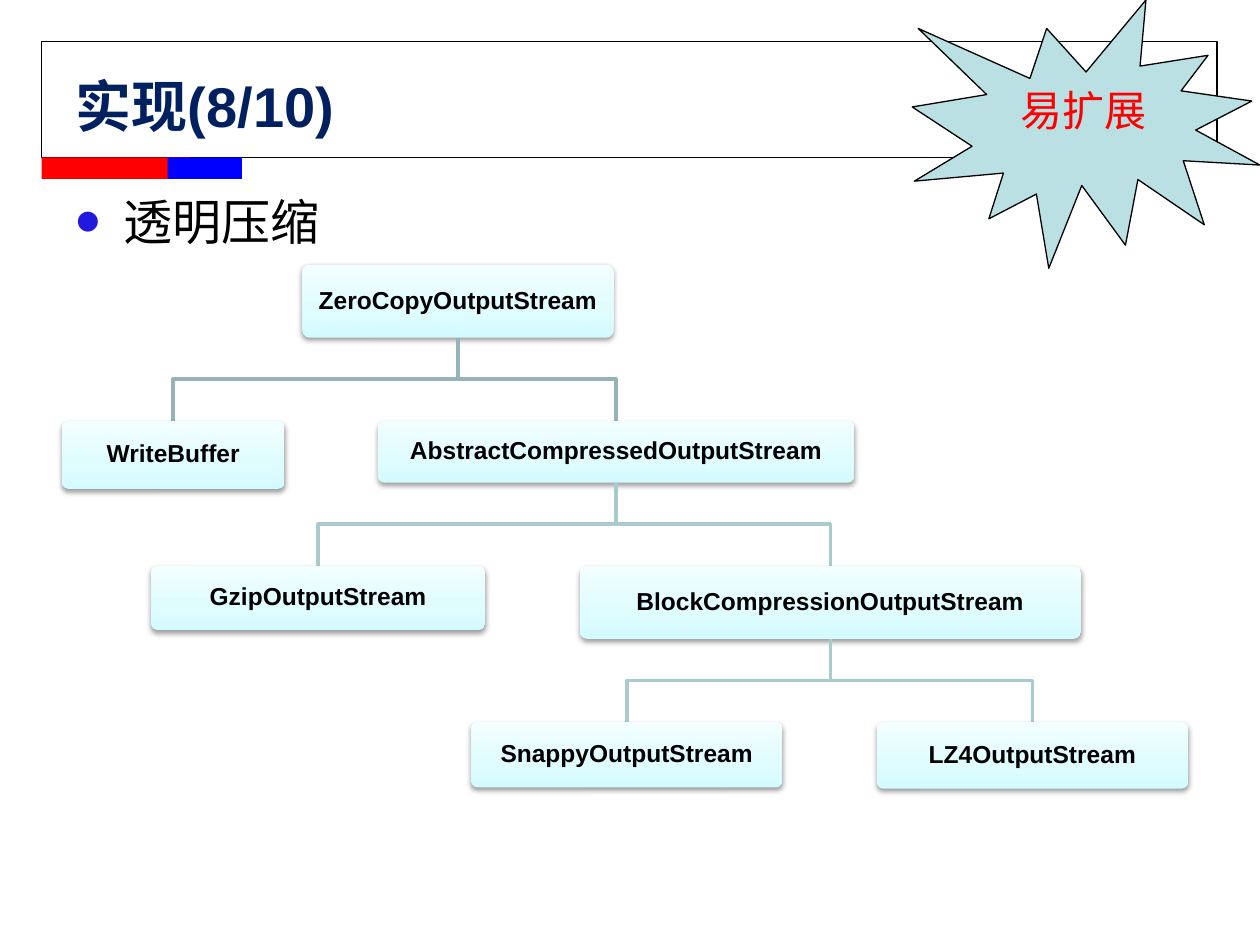
from lxml.etree import SubElement
from pptx import Presentation
from pptx.dml.color import RGBColor
from pptx.enum.shapes import MSO_SHAPE
from pptx.enum.text import MSO_ANCHOR, PP_ALIGN
from pptx.oxml import parse_xml
from pptx.oxml.ns import nsdecls, qn
from pptx.util import Inches, Pt

deck = Presentation()
deck.slide_width, deck.slide_height = Inches(10), Inches(7.5)
page = deck.slides.add_slide(deck.slide_layouts[1])
shapes = page.shapes

# Grid of 100 columns by 75 rows
column = deck.slide_width / 100
row = deck.slide_height / 75


def paint(fill, colour):
    """Fill a shape, a line or a font with a hex colour, or clear it."""
    if colour is None:
        fill.background()
    else:
        fill.solid()
        fill.fore_color.rgb = RGBColor.from_string(colour)


def write(box, text, size, colour="000000", bold=False, align=PP_ALIGN.LEFT,
          anchor=MSO_ANCHOR.TOP, inset=None):
    """Put one formatted paragraph into a shape and return it."""
    frame = box.text_frame
    frame.word_wrap = True
    frame.vertical_anchor = anchor
    if inset is not None:
        frame.margin_left = frame.margin_right = inset
        frame.margin_top = frame.margin_bottom = inset
    para = frame.paragraphs[0]
    para.alignment = align
    span = para.add_run()
    span.text = text
    span.font.name, span.font.size, span.font.bold = "Arial", Pt(size), bold
    paint(span.font.fill, colour)
    return para


# Title frame and the two-colour bar below it
for left, top, width, height, fill, line in (
    (3.3, 3.3, 93.3, 9.2, None, "000000"),
    (3.3, 12.5, 11.8, 1.7, "FF0000", None),
    (13.3, 12.5, 5.9, 1.7, "0000FF", None),
):
    band = shapes.add_shape(MSO_SHAPE.RECTANGLE, int(left * column), int(top * row),
                            int(width * column), int(height * row))
    band.shadow.inherit = False
    paint(band.fill, fill)
    band.line.width = Pt(0.75)
    paint(band.line.fill, line)

# Title and bullet
title, body = shapes.title, page.placeholders[1]
for holder, top, height in ((title, 5.2, 6.3), (body, 14.7, 49.5)):
    holder.left, holder.top = int(5 * column), int(top * row)
    holder.width, holder.height = int(90 * column), int(height * row)
write(title, "实现(8/10)", size=32, colour="002060", bold=True, anchor=MSO_ANCHOR.MIDDLE)
bullet = write(body, "透明压缩", size=28)
properties = bullet._p.get_or_add_pPr()
properties.set("marL", str(Inches(0.38)))
properties.set("indent", str(-Inches(0.38)))
space = SubElement(properties, qn("a:spcBef"))
SubElement(space, qn("a:spcPct"), val="20000")
bullet_colour = SubElement(properties, qn("a:buClr"))
SubElement(bullet_colour, qn("a:srgbClr"), val="2318DE")
SubElement(properties, qn("a:buSzPct"), val="150000")
SubElement(properties, qn("a:buFont"), typeface="Arial")
SubElement(properties, qn("a:buChar"), char="•")

# Class tree: name, parent, left, width, height
classes = (
    ("ZeroCopyOutputStream", None, 24, 24.7, 5.8),
    ("WriteBuffer", "ZeroCopyOutputStream", 4.9, 17.7, 5.4),
    ("AbstractCompressedOutputStream", "ZeroCopyOutputStream", 30, 37.8, 4.9),
    ("GzipOutputStream", "AbstractCompressedOutputStream", 12, 26.5, 5.1),
    ("BlockCompressionOutputStream", "AbstractCompressedOutputStream", 46, 39.8, 5.8),
    ("SnappyOutputStream", "BlockCompressionOutputStream", 37.4, 24.7, 5.2),
    ("LZ4OutputStream", "BlockCompressionOutputStream", 69.6, 24.7, 5.3),
)
root, root_top, level_gap = classes[0][0], 21 * row, 6.6 * row
gradient = (
    f'<a:gradFill {nsdecls("a")} rotWithShape="1"><a:gsLst>'
    '<a:gs pos="0"><a:srgbClr val="D3FBFF"/></a:gs>'
    '<a:gs pos="35000"><a:srgbClr val="DFFCFF"/></a:gs>'
    '<a:gs pos="100000"><a:srgbClr val="F2FEFF"/></a:gs>'
    '</a:gsLst><a:lin ang="16200000" scaled="1"/></a:gradFill>'
)
shadow = (
    f'<a:effectLst {nsdecls("a")}>'
    f'<a:outerShdw blurRad="{Pt(3.1)}" dist="{Pt(1.6)}" dir="5400000" rotWithShape="0">'
    '<a:srgbClr val="000000"><a:alpha val="38000"/></a:srgbClr>'
    '</a:outerShdw></a:effectLst>'
)
boxes = {}
for name, parent, left, width, height in classes:
    left, width, height = left * column, width * column, height * row
    top = root_top
    if parent:
        # Branch from the parent's foot to the middle of this box's top
        above = boxes[parent]
        start_x, start_y = above.left + above.width / 2, above.top + above.height
        end_x, top = left + width / 2, start_y + level_gap
        middle_y = start_y + level_gap / 2
        outline = shapes.build_freeform(int(start_x), int(start_y))
        outline.add_line_segments(
            [(int(start_x), int(middle_y)), (int(end_x), int(middle_y)),
             (int(end_x), int(top))], close=False)
        branch = outline.convert_to_shape()
        branch.shadow.inherit = False
        paint(branch.fill, None)
        paint(branch.line.fill, "96B3B6" if parent == root else "AACBCE")
        branch.line.width = Pt(2)
    box = shapes.add_shape(MSO_SHAPE.ROUNDED_RECTANGLE, int(left), int(top),
                           int(width), int(height))
    box.adjustments[0] = 0.1
    paint(box.line.fill, None)
    box._element.spPr.find(qn("a:prstGeom")).addnext(parse_xml(gradient))
    box._element.spPr.append(parse_xml(shadow))
    label = write(box, name, size=14, bold=True, align=PP_ALIGN.CENTER,
                  anchor=MSO_ANCHOR.MIDDLE, inset=Inches(0.06))
    label.line_spacing = 0.9
    boxes[name] = box

# Starburst callout
burst = shapes.add_shape(MSO_SHAPE.EXPLOSION1, int(72.4 * column), 0,
                         int(27.6 * column), int(21.3 * row))
burst.shadow.inherit = False
paint(burst.fill, "BBE0E3")
paint(burst.line.fill, "000000")
burst.line.width = Pt(0.75)
write(burst, "易扩展", size=24, colour="FF0000", align=PP_ALIGN.CENTER)

deck.save("out.pptx")
